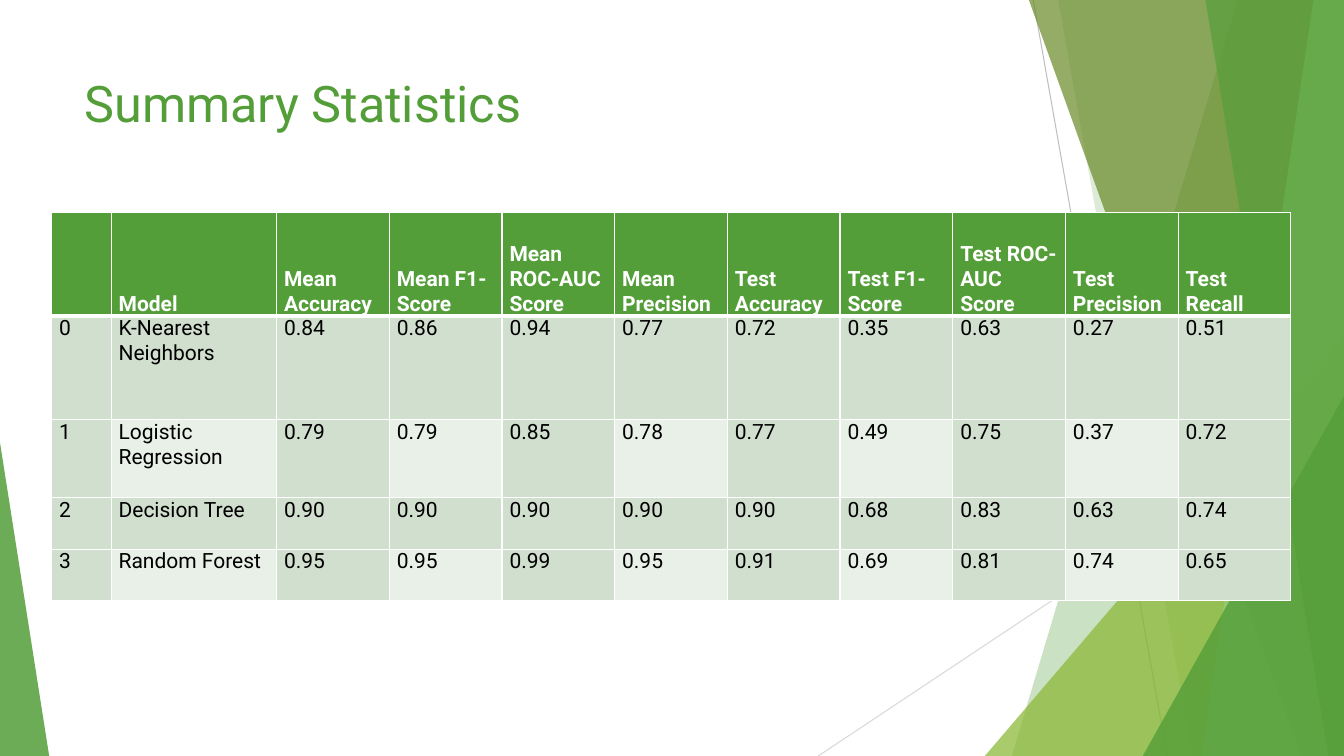
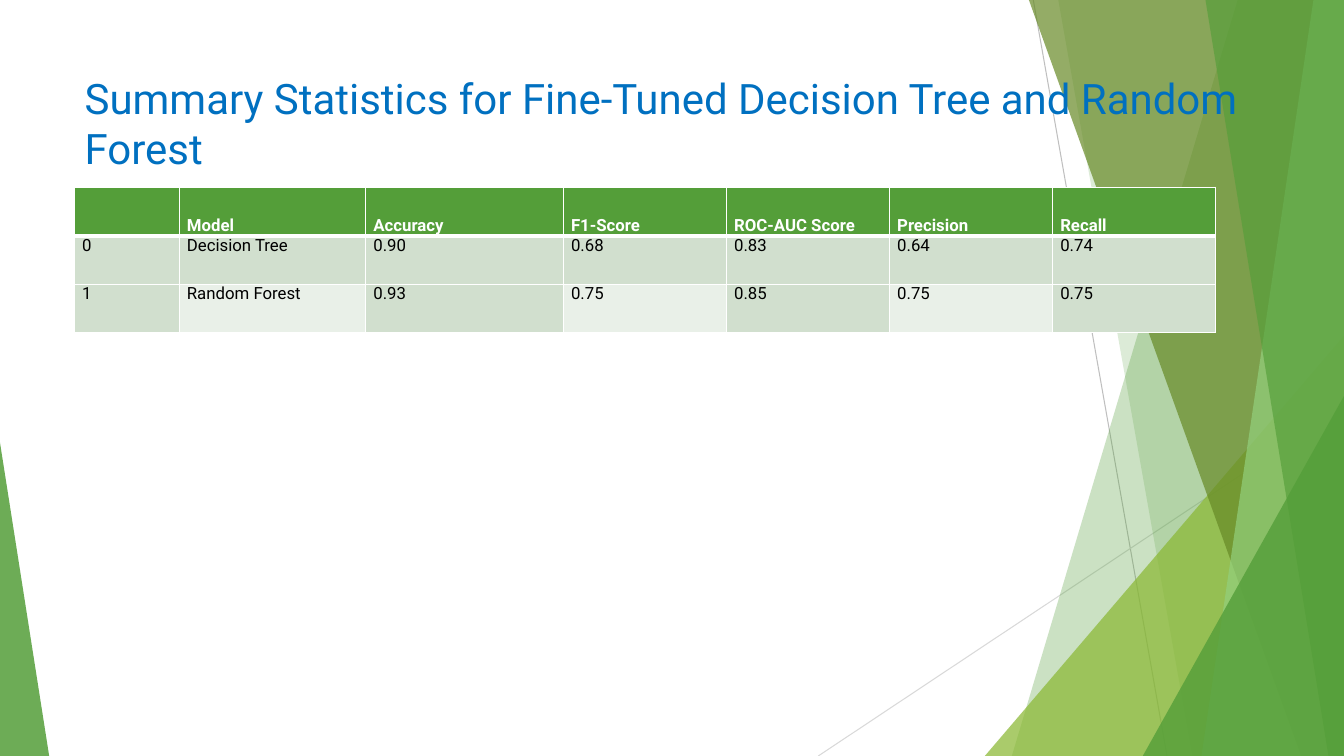
from dataclasses import dataclass

from lxml import etree
from pptx import Presentation
from pptx.dml.color import RGBColor
from pptx.enum.shapes import MSO_CONNECTOR, MSO_SHAPE
from pptx.enum.text import MSO_ANCHOR, MSO_AUTO_SIZE, PP_ALIGN
from pptx.oxml.ns import qn
from pptx.util import Cm, Pt

STRAIGHT = MSO_CONNECTOR.STRAIGHT
TRIANGLE = MSO_SHAPE.ISOSCELES_TRIANGLE
TOP, BOTTOM = MSO_ANCHOR.TOP, MSO_ANCHOR.BOTTOM
LEFT = PP_ALIGN.LEFT
NO_FIT = MSO_AUTO_SIZE.NONE
TITLE_ONLY = 5


@dataclass(frozen=True)
class Theme:
    font: str = "Roboto"
    green: str = "549E39"
    lime: str = "8AB833"
    olive: str = "678A26"
    mint: str = "93D07D"
    blue: str = "0070C0"
    white: str = "FFFFFF"
    black: str = "000000"
    band_dark: str = "D1DFCE"
    band_light: str = "E9F0E8"
    line_dark: str = "BFBFBF"
    line_light: str = "D9D9D9"
    title_size: int = 36
    long_title_size: int = 30
    table_size: int = 15
    small_table_size: int = 12
    cell_spacing: float = 1.8
    border: int = 1
    header_border: int = 3


THEME = Theme()
SLIDE_WIDTH, SLIDE_HEIGHT = 33.87, 19.05

# Backdrop lines: start x, start y, end x, end y, colour
BACKDROP_LINES = [
    (26.04, 0, 29.41, SLIDE_HEIGHT, THEME.line_dark),
    (SLIDE_WIDTH, 10.24, 20.62, SLIDE_HEIGHT, THEME.line_light),
]
# Backdrop facets, back to front. A wedge runs to the right edge and has its
# left edge at two x values; a triangle has left, top, width and apex.
BACKDROP_FACETS = [
    ("wedge", (31.19, 25.5), THEME.green, 30),
    ("wedge", (26.67, 30.05), THEME.green, 20),
    ("triangle", (24.82, 8.46, SLIDE_WIDTH - 24.82, 1), THEME.lime, 72),
    ("wedge", (25.93, 32.79), THEME.olive, 70),
    ("wedge", (33.1, 30.28), THEME.mint, 70),
    ("wedge", (30.38, 33.48), THEME.green, 65),
    ("triangle", (28.8, 9.98, SLIDE_WIDTH - 28.8, 1), THEME.green, 80),
    ("triangle", (0, 11.15, 1.24, 0), THEME.green, 85),
]

MODEL_SCORES = [
    ["", "Model", "Mean Accuracy", "Mean F1-Score", "Mean ROC-AUC Score",
     "Mean Precision", "Test Accuracy", "Test F1-Score",
     "Test ROC-AUC Score", "Test Precision", "Test Recall"],
    ["0", "K-Nearest Neighbors", "0.84", "0.86", "0.94", "0.77", "0.72",
     "0.35", "0.63", "0.27", "0.51"],
    ["1", "Logistic Regression", "0.79", "0.79", "0.85", "0.78", "0.77",
     "0.49", "0.75", "0.37", "0.72"],
    ["2", "Decision Tree", "0.90", "0.90", "0.90", "0.90", "0.90",
     "0.68", "0.83", "0.63", "0.74"],
    ["3", "Random Forest", "0.95", "0.95", "0.99", "0.95", "0.91",
     "0.69", "0.81", "0.74", "0.65"],
]
TUNED_SCORES = [
    ["", "Model", "Accuracy", "F1-Score", "ROC-AUC Score", "Precision",
     "Recall"],
    ["0", "Decision Tree", "0.90", "0.68", "0.83", "0.64", "0.74"],
    ["1", "Random Forest", "0.93", "0.75", "0.85", "0.75", "0.75"],
]


def rgb(color):
    return RGBColor.from_string(color)


def write_text(frame, text, *, size, color, bold=False, spacing=0):
    paragraph = frame.paragraphs[0]
    paragraph.alignment = LEFT
    paragraph.space_before = paragraph.space_after = Pt(spacing)
    run = paragraph.add_run()
    run.text = text
    run.font.name = THEME.font
    run.font.size = Pt(size)
    run.font.bold = bold
    run.font.color.rgb = rgb(color)


def paint(shape, color, opacity):
    shape.shadow.inherit = False
    shape.line.fill.background()
    shape.fill.solid()
    shape.fill.fore_color.rgb = rgb(color)
    color_element = shape.element.spPr.find(".//" + qn("a:srgbClr"))
    etree.SubElement(color_element, qn("a:alpha"), val=str(opacity * 1000))


def add_wedge(shapes, top_x, bottom_x):
    builder = shapes.build_freeform(Cm(top_x), 0)
    builder.add_line_segments([
        (Cm(SLIDE_WIDTH), 0),
        (Cm(SLIDE_WIDTH), Cm(SLIDE_HEIGHT)),
        (Cm(bottom_x), Cm(SLIDE_HEIGHT)),
    ])
    return builder.convert_to_shape()


def add_triangle(shapes, left, top, width, apex):
    shape = shapes.add_shape(TRIANGLE, Cm(left), Cm(top), Cm(width),
                             Cm(SLIDE_HEIGHT - top))
    shape.adjustments[0] = apex
    return shape


def add_backdrop(slide):
    """Draw the facets as one group and hand it to the slide's layout."""
    group = slide.shapes.add_group_shape()
    for x1, y1, x2, y2, color in BACKDROP_LINES:
        line = group.shapes.add_connector(STRAIGHT, Cm(x1), Cm(y1), Cm(x2), Cm(y2))
        line.line.color.rgb = rgb(color)
        line.line.width = Pt(0.75)
        etree.SubElement(line.element.spPr, qn("a:effectLst"))
    draw = {"wedge": add_wedge, "triangle": add_triangle}
    for kind, geometry, color, opacity in BACKDROP_FACETS:
        paint(draw[kind](group.shapes, *geometry), color, opacity)

    # The layout keeps only its title, with the backdrop behind it
    layout = slide.slide_layout
    for placeholder in list(layout.placeholders)[1:]:
        layout.shapes.element.remove(placeholder.element)
    layout.shapes.element.insert(2, group.element)


def set_title(slide, text, *, width, size, color):
    title = slide.shapes.title
    title.left, title.top = Cm(1.88), Cm(1.7)
    title.width, title.height = Cm(width), Cm(3.66)
    frame = title.text_frame
    frame.word_wrap = True
    frame.auto_size = NO_FIT
    frame.vertical_anchor = TOP
    write_text(frame, text, size=size, color=color)


def set_borders(cell, top, bottom):
    properties = cell._tc.get_or_add_tcPr()
    sides = [("L", THEME.border), ("R", THEME.border), ("T", top), ("B", bottom)]
    for index, (side, width) in enumerate(sides):
        line = etree.Element(qn("a:ln" + side), w=str(Pt(width)))
        fill = etree.SubElement(line, qn("a:solidFill"))
        etree.SubElement(fill, qn("a:srgbClr"), val=THEME.white)
        properties.insert(index, line)


def format_cell(cell, text, row, column, size):
    header = row == 0
    light = row % 2 == 0 and column % 2 == 1
    band = THEME.band_light if light else THEME.band_dark
    cell.fill.solid()
    cell.fill.fore_color.rgb = rgb(THEME.green if header else band)
    cell.vertical_anchor = BOTTOM if header else TOP
    cell.margin_left = cell.margin_right = Cm(0.19)
    cell.margin_top = cell.margin_bottom = 0
    set_borders(cell,
                top=THEME.header_border if row == 1 else THEME.border,
                bottom=THEME.header_border if header else THEME.border)
    if text:
        write_text(cell.text_frame, text, size=size, bold=header,
                   color=THEME.white if header else THEME.black,
                   spacing=THEME.cell_spacing)


def add_score_table(slide, scores, left, top, *, widths, heights, size):
    frame = slide.shapes.add_table(len(heights), len(widths), Cm(left), Cm(top),
                                   Cm(sum(widths)), Cm(sum(heights)))
    table = frame.table
    for column, width in zip(table.columns, widths):
        column.width = Cm(width)
    for row, height in zip(table.rows, heights):
        row.height = Cm(height)
    for row, texts in enumerate(scores):
        for column, text in enumerate(texts):
            format_cell(table.cell(row, column), text, row, column, size)


def build_summary(slide):
    set_title(slide, "Summary Statistics", width=23.88,
              size=THEME.title_size, color=THEME.green)
    add_score_table(slide, MODEL_SCORES, 1.3, 5.36,
                    widths=[1.5, 4.17] + [2.84] * 9,
                    heights=[2.61, 2.61, 1.96, 1.3, 1.3],
                    size=THEME.table_size)


def build_tuned_summary(slide):
    set_title(slide,
              "Summary Statistics for Fine-Tuned Decision Tree and Random Forest",
              width=30, size=THEME.long_title_size, color=THEME.blue)
    add_score_table(slide, TUNED_SCORES, 1.88, 4.72,
                    widths=[2.64, 4.7, 4.98] + [4.11] * 4,
                    heights=[1.22] * 3, size=THEME.small_table_size)


def main():
    presentation = Presentation()
    presentation.slide_width = Cm(SLIDE_WIDTH)
    presentation.slide_height = Cm(SLIDE_HEIGHT)
    layout = presentation.slide_layouts[TITLE_ONLY]
    summary = presentation.slides.add_slide(layout)
    add_backdrop(summary)
    build_summary(summary)
    build_tuned_summary(presentation.slides.add_slide(layout))
    presentation.save("out.pptx")


if __name__ == "__main__":
    main()
